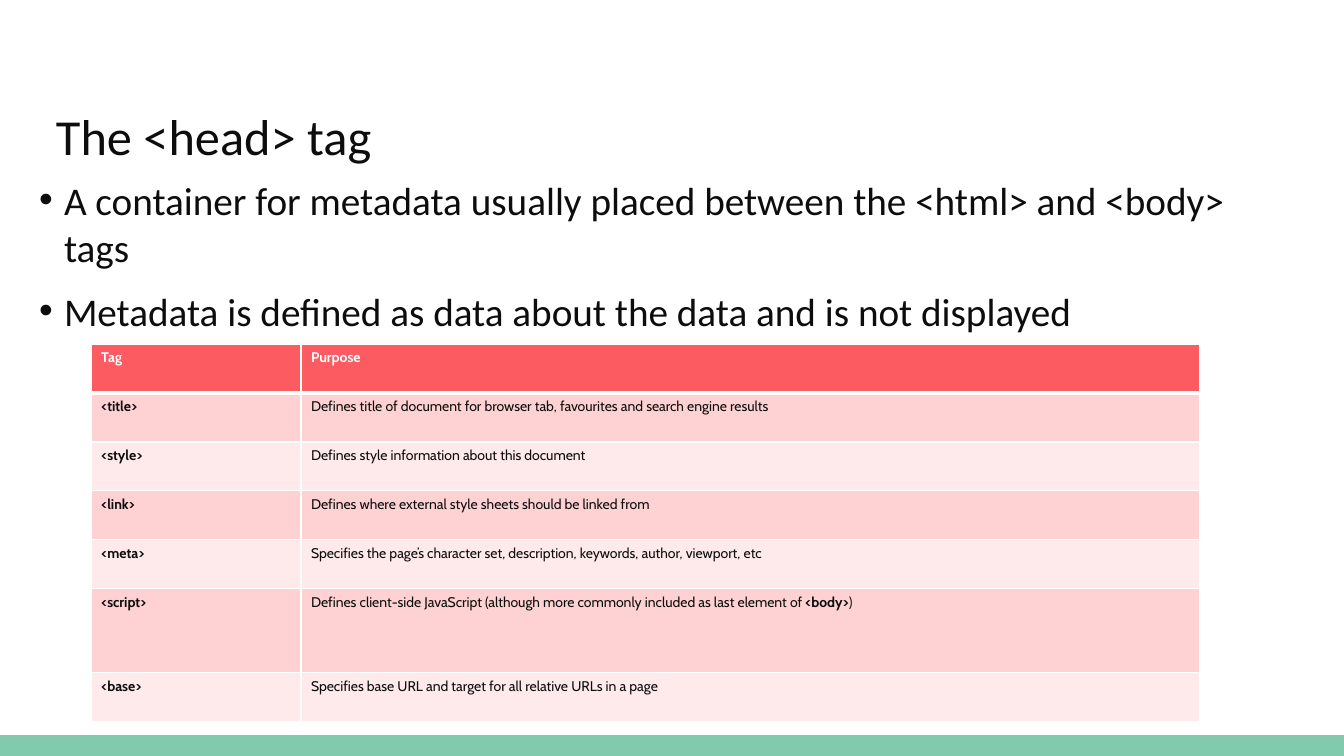
from lxml import etree
from pptx import Presentation
from pptx.dml.color import RGBColor
from pptx.enum.shapes import MSO_SHAPE
from pptx.oxml.ns import qn
from pptx.util import Emu, Pt

RECT = MSO_SHAPE.RECTANGLE
INK = RGBColor(0x0D, 0x0D, 0x0D)
WHITE = RGBColor(0xFF, 0xFF, 0xFF)
GREEN = RGBColor(0x82, 0xCA, 0xAE)
RED = RGBColor(0xFC, 0x5B, 0x61)
ROSE = RGBColor(0xFE, 0xD2, 0xD2)
BLUSH = RGBColor(0xFE, 0xEA, 0xEA)

TITLE = "The <head> tag"
BULLETS = [
    "A container for metadata usually placed between the <html> and <body> tags",
    "Metadata is defined as data about the data and is not displayed",
]
HEADER = ("Tag", ["Purpose"])
TAGS = [
    ("<title>", ["Defines title of document for browser tab, favourites and search engine results"]),
    ("<style>", ["Defines style information about this document"]),
    ("<link>", ["Defines where external style sheets should be linked from"]),
    ("<meta>", ["Specifies the page’s character set, description, keywords, author, viewport, etc"]),
    ("<script>", ["Defines client-side JavaScript (although more commonly included as last element of ",
                  "<body>", ")"]),
    ("<base>", ["Specifies base URL and target for all relative URLs in a page"]),
]
COL_WIDTHS = [210, 899]
ROW_HEIGHT, TALL_ROW_HEIGHT = 49, 84


def px(n):
    return Emu(round(n * 914400 / 100.8))


def style(r, name, size, color, bold=False):
    r.font.name = name
    r.font.size = Pt(size)
    r.font.color.rgb = color
    r.font.bold = bold


def add_text(s, box, lines, size):
    tf = s.shapes.add_textbox(*map(px, box)).text_frame
    tf.word_wrap = True
    tf.margin_left = tf.margin_right = 0
    tf.text = "\n".join(lines)
    for p in tf.paragraphs:
        style(p.runs[0], "Calibri", size, INK)
    return tf


def add_bullet(p):
    pPr = p._p.get_or_add_pPr()
    pPr.set("marL", str(px(25)))
    pPr.set("indent", str(-px(25)))
    etree.SubElement(pPr, qn("a:buFont")).set("typeface", "Arial")
    etree.SubElement(pPr, qn("a:buChar")).set("char", "•")


def add_borders(cell, top, bottom):
    tcPr = cell._tc.get_or_add_tcPr()
    for side, width in (("L", 1), ("R", 1), ("T", top), ("B", bottom)):
        ln = etree.SubElement(tcPr, qn("a:ln" + side), w=str(Pt(width)))
        fill = etree.SubElement(ln, qn("a:solidFill"))
        etree.SubElement(fill, qn("a:srgbClr"), val=str(WHITE))


def fill_cell(cell, parts, row, col):
    add_borders(cell, 3 if row == 1 else 1, 3 if row == 0 else 1)
    cell.fill.solid()
    cell.fill.fore_color.rgb = RED if row == 0 else ROSE if row % 2 else BLUSH
    p = cell.text_frame.paragraphs[0]
    for part in parts:
        r = p.add_run()
        r.text = part
        bold = row == 0 or col == 0 or part.startswith("<")
        style(r, "Cabin", 10, WHITE if row == 0 else INK, bold)


def main():
    prs = Presentation()
    prs.slide_width, prs.slide_height = px(1344), px(756)
    s = prs.slides.add_slide(prs.slide_layouts[6])

    footer = s.shapes.add_shape(RECT, *map(px, (0, 735, 1344, 21)))
    footer.shadow.inherit = False
    footer.fill.solid()
    footer.fill.fore_color.rgb = GREEN
    footer.line.fill.background()

    body = add_text(s, (39, 171, 1231, 477), BULLETS, 28)
    for i, p in enumerate(body.paragraphs):
        add_bullet(p)
        if i:
            p.space_before = Pt(12)
    title = add_text(s, (56, 107, 1231, 80), [TITLE], 36)
    title.paragraphs[0].line_spacing = 0.9

    rows = [HEADER] + TAGS
    heights = [TALL_ROW_HEIGHT if tag == "<script>" else ROW_HEIGHT for tag, _ in rows]
    table = s.shapes.add_table(len(rows), len(COL_WIDTHS), px(91), px(344),
                               px(sum(COL_WIDTHS)), px(sum(heights))).table
    for col, width in enumerate(COL_WIDTHS):
        table.columns[col].width = px(width)
    for row, (tag, purpose) in enumerate(rows):
        table.rows[row].height = px(heights[row])
        for col, parts in enumerate(([tag], purpose)):
            fill_cell(table.cell(row, col), parts, row, col)

    prs.save("out.pptx")


if __name__ == "__main__":
    main()
